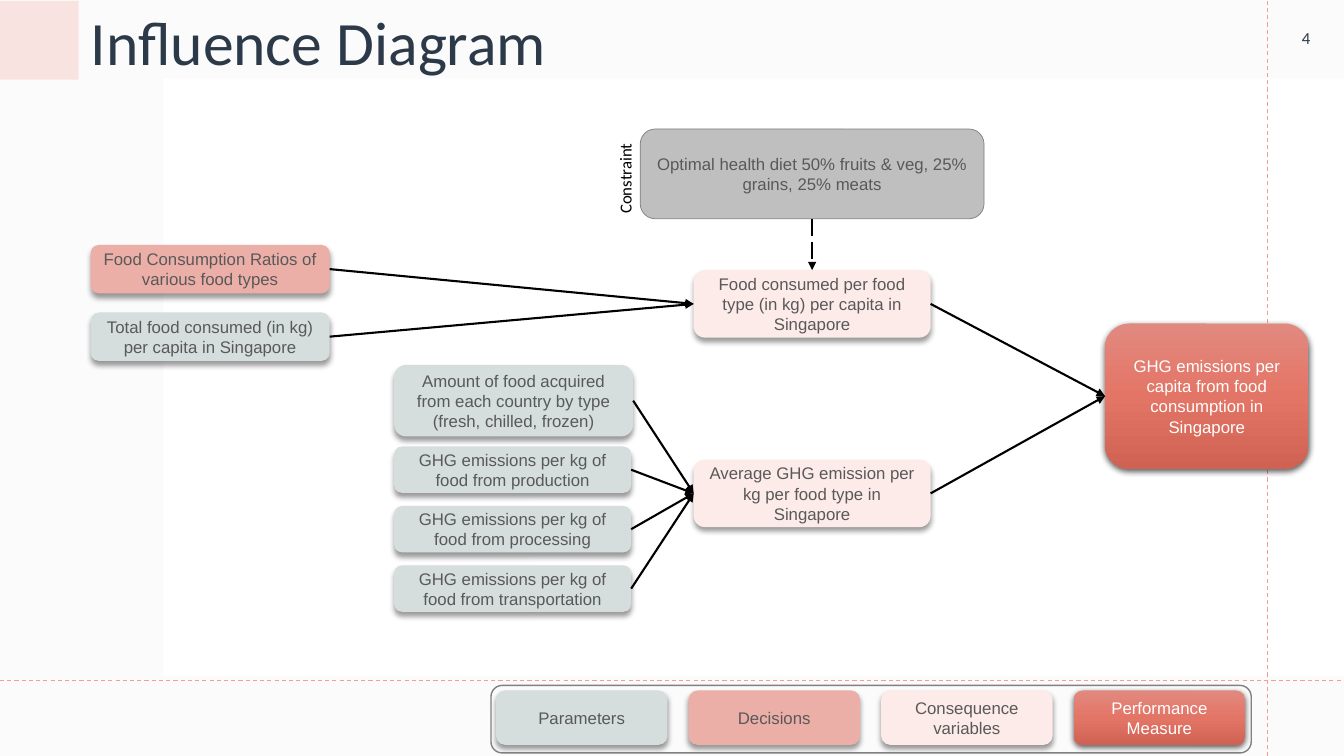
from dataclasses import dataclass

from lxml.etree import SubElement
from pptx import Presentation
from pptx.dml.color import RGBColor
from pptx.enum.dml import MSO_LINE
from pptx.enum.shapes import MSO_CONNECTOR, MSO_SHAPE
from pptx.enum.text import MSO_ANCHOR, MSO_AUTO_SIZE, PP_ALIGN
from pptx.oxml.ns import qn
from pptx.util import Inches, Pt


@dataclass(frozen=True)
class Theme:
    body_font: str = "Arial"
    head_font: str = "Calibri"
    title_size: int = 44
    text_size: int = 12
    navy: str = "2C3948"
    text: str = "595959"
    white: str = "FFFFFF"
    black: str = "000000"
    panel: str = "F4F4F4"
    accent: str = "F49D90"
    outline: str = "808080"
    constraint: str = "BFBFBF"
    parameter: str = "D5DDDD"
    decision: str = "EBAFA7"
    consequence: str = "FDEBE9"
    measure: tuple = ("E2897F", "E37566", "D06254")


T = Theme()
TOP, LEFT, BOTTOM, RIGHT = range(4)


def add_color(parent, color, alpha=None):
    clr = SubElement(parent, qn("a:srgbClr"), val=color)
    if alpha is not None:
        SubElement(clr, qn("a:alpha"), val=str(alpha * 1000))


def write(sp, text, font=T.body_font, size=T.text_size, color=T.text,
          align=PP_ALIGN.CENTER, anchor=MSO_ANCHOR.MIDDLE, wrap=True, spacing=None):
    tf = sp.text_frame
    tf.word_wrap = wrap
    tf.vertical_anchor = anchor
    p = tf.paragraphs[0]
    p.alignment = align
    p.line_spacing = spacing
    r = p.add_run()
    r.text = text
    r.font.name = font
    r.font.size = Pt(size)
    r.font.color.rgb = RGBColor.from_string(color)


def add_label(shapes, box, text, **fmt):
    sp = shapes.add_textbox(*map(Inches, box))
    write(sp, text, font=T.head_font, **fmt)
    return sp


def fill_gradient(sp, colors):
    sp.fill.gradient()
    sp.fill.gradient_angle = 270
    stops = sp.element.spPr.find(qn("a:gradFill")).find(qn("a:gsLst"))
    for gs in list(stops):
        stops.remove(gs)
    for i, color in enumerate(colors):
        pos = i * 100000 // (len(colors) - 1)
        add_color(SubElement(stops, qn("a:gs"), pos=str(pos)), color)


def add_box(shapes, box, fill=None, alpha=None, line=None, width=1.0,
            kind=MSO_SHAPE.ROUNDED_RECTANGLE):
    sp = shapes.add_shape(kind, *map(Inches, box))
    sp.shadow.inherit = False
    if fill is None:
        sp.fill.background()
    elif isinstance(fill, tuple):
        fill_gradient(sp, fill)
    else:
        sp.fill.solid()
        sp.fill.fore_color.rgb = RGBColor.from_string(fill)
        if alpha is not None:
            clr = sp.element.spPr.find(qn("a:solidFill"))[0]
            SubElement(clr, qn("a:alpha"), val=str(alpha * 1000))
    if line:
        sp.line.color.rgb = RGBColor.from_string(line)
        sp.line.width = Pt(width)
    else:
        sp.line.fill.background()
    return sp


def add_node(shapes, box, text, fill):
    """Shadowed node; the performance measure has a stronger, tighter shadow."""
    strong = fill == T.measure
    sp = add_box(shapes, box, fill)
    write(sp, text, color=T.white if strong else T.text)
    alpha, blur, dist = (63, 4.5, 1.5) if strong else (40, 4, 3)
    shadow = SubElement(sp.element.spPr.find(qn("a:effectLst")), qn("a:outerShdw"),
                        blurRad=str(Pt(blur)), dist=str(Pt(dist)),
                        dir="5400000", rotWithShape="0")
    add_color(shadow, T.black, alpha)
    return sp


def add_line(shapes, ends, color, width, dash=None):
    cx = shapes.add_connector(MSO_CONNECTOR.STRAIGHT, *map(Inches, ends))
    cx.line.color.rgb = RGBColor.from_string(color)
    cx.line.width = Pt(width)
    if dash:
        cx.line.dash_style = dash
    SubElement(cx.element.spPr, qn("a:effectLst"))
    return cx


def add_arrow(shapes, source, target, sides=(RIGHT, LEFT), dash=None):
    cx = add_line(shapes, (0, 0, 1, 1), T.black, 1.5, dash)
    cx.begin_connect(source, sides[0])
    cx.end_connect(target, sides[1])
    SubElement(cx.line._get_or_add_ln(), qn("a:tailEnd"), type="triangle")


def add_background(shapes):
    rect = MSO_SHAPE.RECTANGLE
    add_box(shapes, (0, 0, 13.33, 7.5), T.panel, alpha=35, kind=rect)
    add_box(shapes, (1.62, 0.78, 11.72, 5.93), T.white, kind=rect)
    add_box(shapes, (0, 0.01, 0.78, 0.78), T.accent, alpha=25, kind=rect)
    for ends in ((12.57, 7.5, 12.57, 0), (0, 6.75, 13.33, 6.75)):
        add_line(shapes, ends, T.accent, 0.75, MSO_LINE.DASH)


def add_legend(shapes):
    entries = [("Parameters", T.parameter), ("Decisions", T.decision),
               ("Consequence variables", T.consequence),
               ("Performance Measure", T.measure)]
    for i, (text, fill) in enumerate(entries):
        add_node(shapes, (4.92 + 1.91 * i, 6.85, 1.7, 0.54), text, fill)
    add_box(shapes, (4.87, 6.8, 7.54, 0.67), line=T.outline)


def add_diagram(shapes):
    # Performance measure and constraint
    measure = add_node(shapes, (10.96, 3.21, 2.02, 1.44),
                       "GHG emissions per capita from food consumption in Singapore",
                       T.measure)
    diet = add_box(shapes, (6.35, 1.28, 3.41, 0.89), T.constraint,
                   line=T.outline, width=0.5)
    write(diet, "Optimal health diet 50% fruits & veg, 25% grains, 25% meats")
    tag = add_label(shapes, (5.71, 1.58, 0.98, 0.3), "Constraint", color=T.black,
                    align=PP_ALIGN.LEFT, anchor=MSO_ANCHOR.TOP)
    tag.text_frame.auto_size = MSO_AUTO_SIZE.SHAPE_TO_FIT_TEXT
    tag.rotation = 270

    # Consequence variables
    consumed, average = [
        add_node(shapes, (6.88, top, 2.35, 0.67), text, T.consequence)
        for top, text in (
            (2.68, "Food consumed per food type (in kg) per capita in Singapore"),
            (4.56, "Average GHG emission per kg per food type in Singapore"))]

    # Decisions and parameters
    diet_inputs = [
        add_node(shapes, (0.9, top, 2.37, 0.48), text, fill)
        for top, text, fill in (
            (2.43, "Food Consumption Ratios of various food types", T.decision),
            (3.1, "Total food consumed (in kg) per capita in Singapore", T.parameter))]
    emission_inputs = [add_node(
        shapes, (3.91, 3.62, 2.37, 0.71),
        "Amount of food acquired from each country by type (fresh, chilled, frozen)",
        T.parameter)]
    for i, stage in enumerate(("production", "processing", "transportation")):
        emission_inputs.append(add_node(
            shapes, (3.91, 4.43 + 0.59 * i, 2.35, 0.46),
            f"GHG emissions per kg of food from {stage}", T.parameter))

    # Influences
    for sources, target in ((diet_inputs, consumed), (emission_inputs, average),
                            ((consumed, average), measure)):
        for source in sources:
            add_arrow(shapes, source, target)
    add_arrow(shapes, diet, consumed, (BOTTOM, TOP), MSO_LINE.LONG_DASH)


def main():
    prs = Presentation()
    prs.slide_width, prs.slide_height = Inches(13.33), Inches(7.5)
    shapes = prs.slides.add_slide(prs.slide_layouts[6]).shapes
    add_background(shapes)
    add_label(shapes, (0.8, -0.25, 5.05, 1.08), "Influence Diagram",
              size=T.title_size, color=T.navy, align=PP_ALIGN.LEFT,
              anchor=MSO_ANCHOR.BOTTOM, spacing=0.9)
    add_label(shapes, (12.58, 0, 0.75, 0.75), "4", color=T.navy)
    add_legend(shapes.add_group_shape().shapes)
    add_diagram(shapes.add_group_shape().shapes)
    prs.save("out.pptx")


if __name__ == "__main__":
    main()
